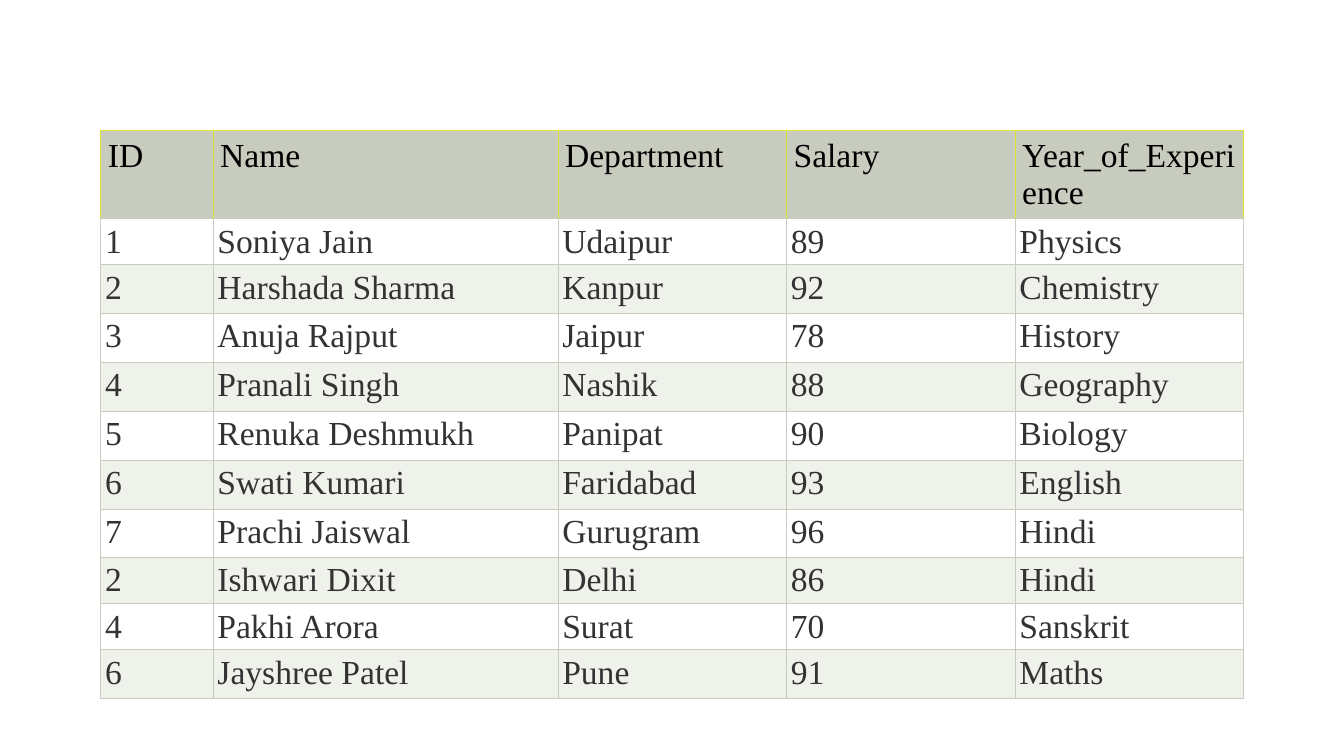
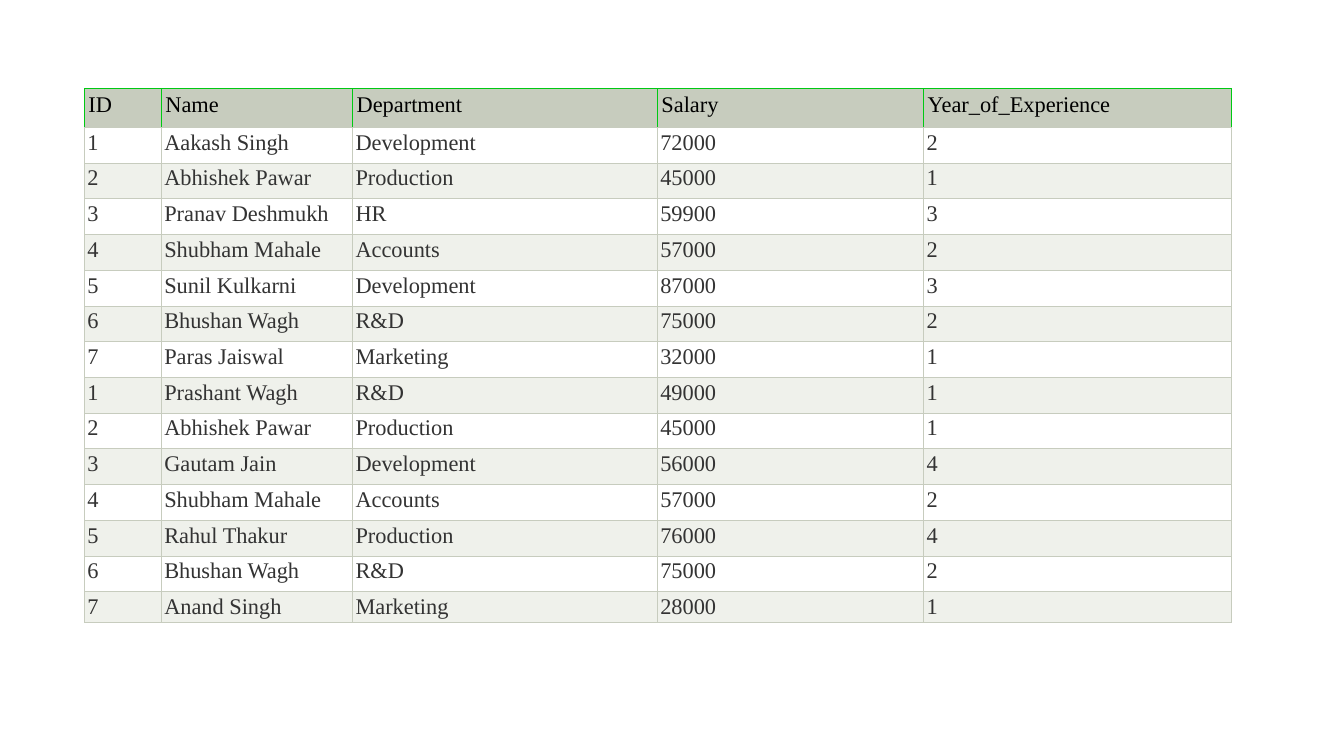
from lxml import etree
from pptx import Presentation
from pptx.dml.color import RGBColor
from pptx.enum.text import PP_ALIGN
from pptx.oxml.ns import qn
from pptx.util import Cm, Pt

LEFT = PP_ALIGN.LEFT
JUSTIFY = PP_ALIGN.JUSTIFY
FONT = "Times New Roman"
SAGE = "C7CCBE"
PALE = "EFF1EB"
WHITE = "FFFFFF"
BLACK = "000000"
CHARCOAL = "333333"
BORDER_WIDTH = Pt(0.6)
HEADINGS = ("ID", "Name", "Department", "Salary", "Year_of_Experience")


def color(value):
    return RGBColor.from_string(value)


def set_borders(cell, side_color):
    properties = cell._tc.get_or_add_tcPr()
    for side in ("L", "R", "T", "B"):
        line = etree.SubElement(properties, qn(f"a:ln{side}"), w=str(int(BORDER_WIDTH)))
        fill = etree.SubElement(line, qn("a:solidFill"))
        line_color = SAGE if side == "B" else side_color
        etree.SubElement(fill, qn("a:srgbClr"), val=line_color)


students = [
    ("1", "Soniya Jain", "Udaipur", "89", "Physics"),
    ("2", "Harshada Sharma", "Kanpur", "92", "Chemistry"),
    ("3", "Anuja Rajput", "Jaipur", "78", "History"),
    ("4", "Pranali Singh", "Nashik", "88", "Geography"),
    ("5", "Renuka Deshmukh", "Panipat", "90", "Biology"),
    ("6", "Swati Kumari", "Faridabad", "93", "English"),
    ("7", "Prachi Jaiswal", "Gurugram", "96", "Hindi"),
    ("2", "Ishwari Dixit", "Delhi", "86", "Hindi"),
    ("4", "Pakhi Arora", "Surat", "70", "Sanskrit"),
    ("6", "Jayshree Patel", "Pune", "91", "Maths"),
]
employees = [
    ("1", "Aakash Singh", "Development", "72000", "2"),
    ("2", "Abhishek Pawar", "Production", "45000", "1"),
    ("3", "Pranav Deshmukh", "HR", "59900", "3"),
    ("4", "Shubham Mahale", "Accounts", "57000", "2"),
    ("5", "Sunil Kulkarni", "Development", "87000", "3"),
    ("6", "Bhushan Wagh", "R&D", "75000", "2"),
    ("7", "Paras Jaiswal", "Marketing", "32000", "1"),
    ("1", "Prashant Wagh", "R&D", "49000", "1"),
    ("2", "Abhishek Pawar", "Production", "45000", "1"),
    ("3", "Gautam Jain", "Development", "56000", "4"),
    ("4", "Shubham Mahale", "Accounts", "57000", "2"),
    ("5", "Rahul Thakur", "Production", "76000", "4"),
    ("6", "Bhushan Wagh", "R&D", "75000", "2"),
    ("7", "Anand Singh", "Marketing", "28000", "1"),
]

tables = [
    {
        "records": students,
        "left": 2.54,
        "top": 3.28,
        "widths": [2.83, 8.69, 5.76, 5.76, 5.76],
        "heights": [2.18, 1.16] + [1.23] * 6 + [1.16] * 2 + [1.23],
        "size": 24,
        "accent": "E0E336",
        "header_margin": 0.18,
        "body_margin": 0.11,
    },
    {
        "records": employees,
        "left": 2.13,
        "top": 2.23,
        "widths": [1.94, 4.82, 7.68, 6.71, 7.74],
        "heights": [0.98] + [0.9] * 13 + [0.75],
        "size": 16,
        "accent": "00C913",
        "header_margin": 0.1,
        "body_margin": 0.07,
    },
]

presentation = Presentation()
presentation.slide_width = Cm(33.87)
presentation.slide_height = Cm(19.05)

for settings in tables:
    slide = presentation.slides.add_slide(presentation.slide_layouts[6])
    rows = [HEADINGS] + settings["records"]
    widths, heights = settings["widths"], settings["heights"]
    shape = slide.shapes.add_table(
        len(rows), len(HEADINGS),
        Cm(settings["left"]), Cm(settings["top"]), Cm(sum(widths)), Cm(sum(heights)),
    )
    table = shape.table
    table.first_row = False
    table.horz_banding = False
    for column, width in zip(table.columns, widths):
        column.width = Cm(width)

    for row_index, values in enumerate(rows):
        table.rows[row_index].height = Cm(heights[row_index])
        is_header = row_index == 0
        margin = Cm(settings["header_margin" if is_header else "body_margin"])
        row_fill = SAGE if is_header else WHITE if row_index % 2 else PALE
        for column_index, value in enumerate(values):
            cell = table.cell(row_index, column_index)
            set_borders(cell, settings["accent"] if is_header else SAGE)
            cell.fill.solid()
            cell.fill.fore_color.rgb = color(row_fill)
            cell.margin_left = cell.margin_right = margin
            cell.margin_top = cell.margin_bottom = margin
            cell.text = value
            paragraph = cell.text_frame.paragraphs[0]
            paragraph.alignment = LEFT if is_header else JUSTIFY
            paragraph.font.name = FONT
            paragraph.font.size = Pt(settings["size"])
            paragraph.font.color.rgb = color(BLACK if is_header else CHARCOAL)

presentation.save("out.pptx")
